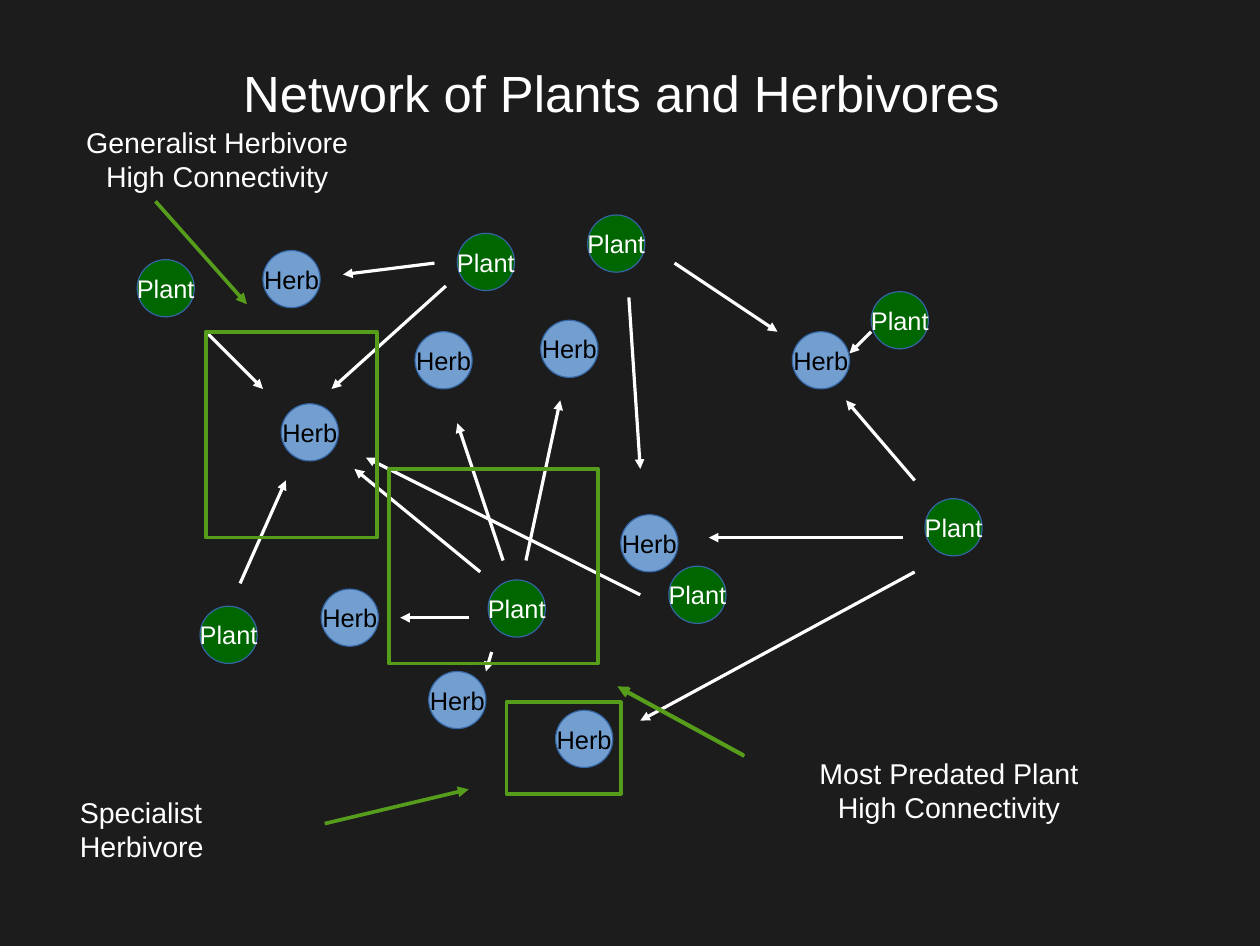
from dataclasses import dataclass
from typing import NamedTuple

from pptx import Presentation
from pptx.dml.color import RGBColor as RGB
from pptx.enum.shapes import MSO_CONNECTOR as Conn, MSO_SHAPE as Shape
from pptx.enum.text import MSO_ANCHOR as Anchor, PP_ALIGN as Align
from pptx.oxml.ns import qn
from pptx.util import Inches, Pt
from lxml.etree import SubElement


@dataclass(frozen=True)
class Theme:
    """Colours, font and sizes of the slide."""
    background: RGB = RGB(0x1C, 0x1C, 0x1C)
    white: RGB = RGB(0xFF, 0xFF, 0xFF)
    black: RGB = RGB(0, 0, 0)
    plant: RGB = RGB(0, 0x66, 0)
    herb: RGB = RGB(0x72, 0x9F, 0xCF)
    outline: RGB = RGB(0x34, 0x65, 0xA4)
    highlight: RGB = RGB(0x57, 0x9D, 0x1C)
    font: str = "Arial"
    title_size: float = 32
    note_size: float = 18
    node_size: float = 16
    hairline: float = 0
    thick: float = 2.3
    diameter: float = 0.5


class Species(NamedTuple):
    """A kind of node with its label, colours and places."""
    label: str
    fill: RGB
    color: RGB
    places: list[tuple[float, float]]


class Arrow(NamedTuple):
    """An arrow from one point to another."""
    x1: float
    y1: float
    x2: float
    y2: float


class Box(NamedTuple):
    """A rectangle on the slide."""
    left: float
    top: float
    width: float
    height: float


class Note(NamedTuple):
    """A text box with its wording and alignment."""
    box: Box
    text: str
    align: Align


T = Theme()

SPECIES = [
    Species("Plant", T.plant, T.white, [
        (1.2, 2.27), (4.27, 5.07), (1.75, 5.3), (7.62, 2.55),
        (8.09, 4.36), (4, 2.04), (5.85, 4.95), (5.14, 1.88)]),
    Species("Herb", T.herb, T.black, [
        (3.63, 2.9), (6.93, 2.9), (5.43, 4.5), (4.73, 2.8), (2.81, 5.15),
        (2.46, 3.53), (3.75, 5.87), (4.86, 6.21), (2.3, 2.19)]),
]
FEEDING = [
    Arrow(4.4, 4.9, 4, 3.7), Arrow(4.2, 5, 3.1, 4.1),
    Arrow(4.6, 4.9, 4.9, 3.5), Arrow(2.1, 5.1, 2.5, 4.2),
    Arrow(1.8, 2.9, 2.3, 3.4), Arrow(3.9, 2.5, 2.9, 3.4),
    Arrow(5.6, 5.2, 3.2, 4), Arrow(8, 5, 5.6, 6.3),
    Arrow(7.9, 4.7, 6.2, 4.7), Arrow(5.5, 2.6, 5.6, 4.1),
    Arrow(5.9, 2.3, 6.8, 2.9), Arrow(8, 4.2, 7.4, 3.5),
    Arrow(7.62, 2.9, 7.43, 3.09), Arrow(4.1, 5.4, 3.5, 5.4),
    Arrow(4.3, 5.7, 4.25, 5.87), Arrow(3.8, 2.3, 3, 2.4),
]
FRAMES = [Box(3.4, 4.1, 1.83, 1.7), Box(1.8, 2.9, 1.5, 1.8), Box(4.43, 6.14, 1, 0.8)]
POINTERS = [
    Arrow(6.5, 6.6, 5.4, 6), Arrow(6.51, 6.61, 5.41, 6.01),
    Arrow(1.36, 1.76, 2.16, 2.66), Arrow(2.84, 7.2, 4.1, 6.9),
]
TITLE = Note(Box(0.48, 0.12, 9.92, 1.38), "Network of Plants and Herbivores", Align.CENTER)
NOTES = [
    Note(Box(6.7, 6.56, 3.2, 0.94), "Most Predated Plant\nHigh Connectivity", Align.CENTER),
    Note(Box(0.2, 1.04, 3.4, 0.66), "Generalist Herbivore\vHigh Connectivity", Align.CENTER),
    Note(Box(0.6, 6.9, 2, 0.66), "Specialist Herbivore", Align.LEFT),
]


def write(sp, text: str, *, size: float, color: RGB = T.white, align: Align = Align.CENTER,
          anchor: Anchor = Anchor.TOP, wrap: bool = True) -> None:
    """Put formatted text into a shape."""
    tf = sp.text_frame
    tf.word_wrap, tf.vertical_anchor, tf.text = wrap, anchor, text
    for p in tf.paragraphs:
        p.alignment = align
        for r in p.runs:
            r.font.name, r.font.size, r.font.color.rgb = T.font, Pt(size), color


def add_note(s, note: Note, size: float, anchor: Anchor = Anchor.TOP) -> None:
    """Add a text box for a note or the title."""
    sp = s.shapes.add_textbox(*map(Inches, note.box))
    write(sp, note.text, size=size, align=note.align, anchor=anchor)


def add_outline(s, kind: Shape, box: Box, color: RGB, width: float):
    """Add an unfilled preset shape and return it."""
    sp = s.shapes.add_shape(kind, *map(Inches, box))
    sp.shadow.inherit = False
    sp.fill.background()
    sp.line.color.rgb, sp.line.width = color, Pt(width)
    return sp


def add_node(s, kind: Species, left: float, top: float) -> None:
    """Add one labelled circle of the network."""
    box = Box(left, top, T.diameter, T.diameter)
    sp = add_outline(s, Shape.OVAL, box, T.outline, T.hairline)
    sp.fill.solid()
    sp.fill.fore_color.rgb = kind.fill
    write(sp, kind.label, size=T.node_size, color=kind.color, anchor=Anchor.MIDDLE, wrap=False)


def add_arrow(s, arrow: Arrow, color: RGB, width: float) -> None:
    """Add a straight arrow with a triangular head."""
    c = s.shapes.add_connector(Conn.STRAIGHT, *map(Inches, arrow))
    c.line.color.rgb, c.line.width = color, Pt(width)
    SubElement(c.line._get_or_add_ln(), qn("a:tailEnd"), type="triangle")
    SubElement(c._element.spPr, qn("a:effectLst"))


def main() -> None:
    """Build the slide and save it."""
    prs = Presentation()
    prs.slide_width, prs.slide_height = Inches(11.02), Inches(8.27)
    s = prs.slides.add_slide(prs.slide_layouts[6])
    s.background.fill.solid()
    s.background.fill.fore_color.rgb = T.background

    add_note(s, TITLE, T.title_size, Anchor.MIDDLE)
    for kind in SPECIES:
        for place in kind.places:
            add_node(s, kind, *place)
    for arrow in FEEDING:
        add_arrow(s, arrow, T.white, T.hairline)
    for frame in FRAMES:
        add_outline(s, Shape.RECTANGLE, frame, T.highlight, T.thick)
    for arrow in POINTERS:
        add_arrow(s, arrow, T.highlight, T.thick)
    for note in NOTES:
        add_note(s, note, T.note_size)
    prs.save("out.pptx")


if __name__ == "__main__":
    main()
